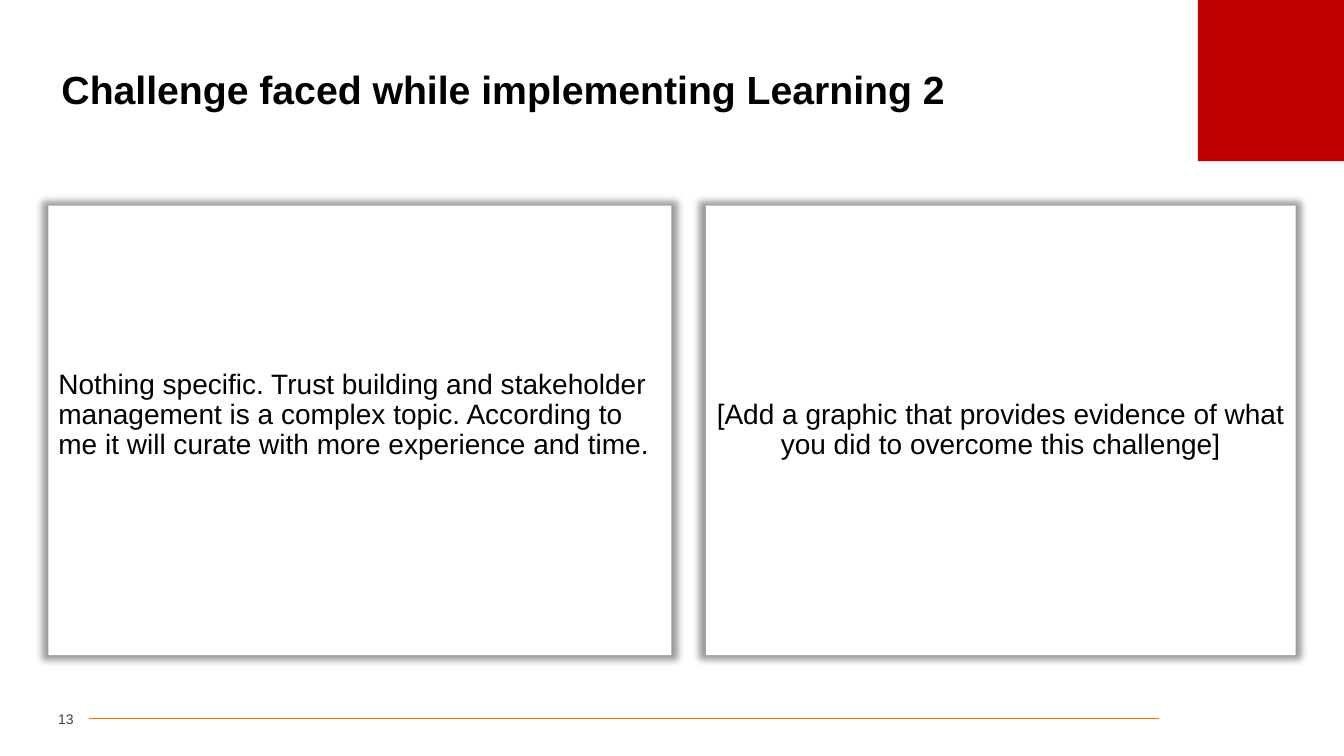
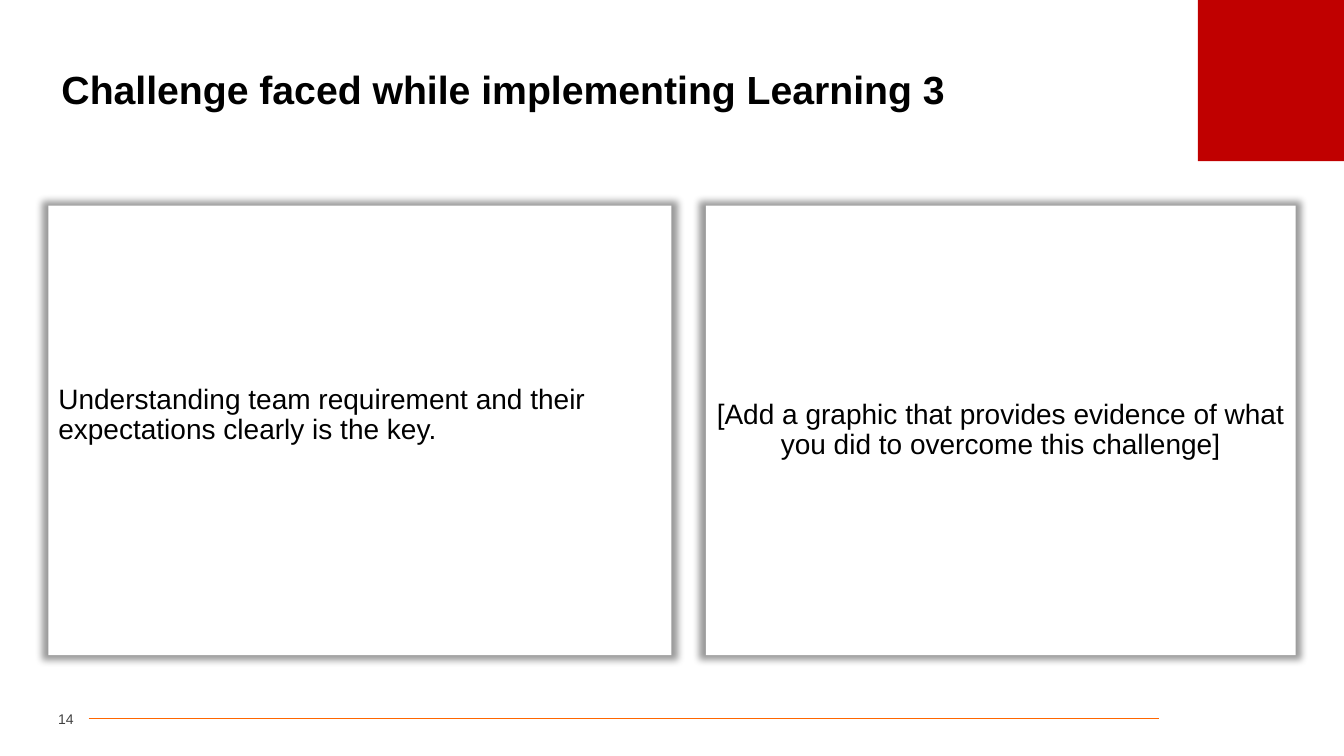
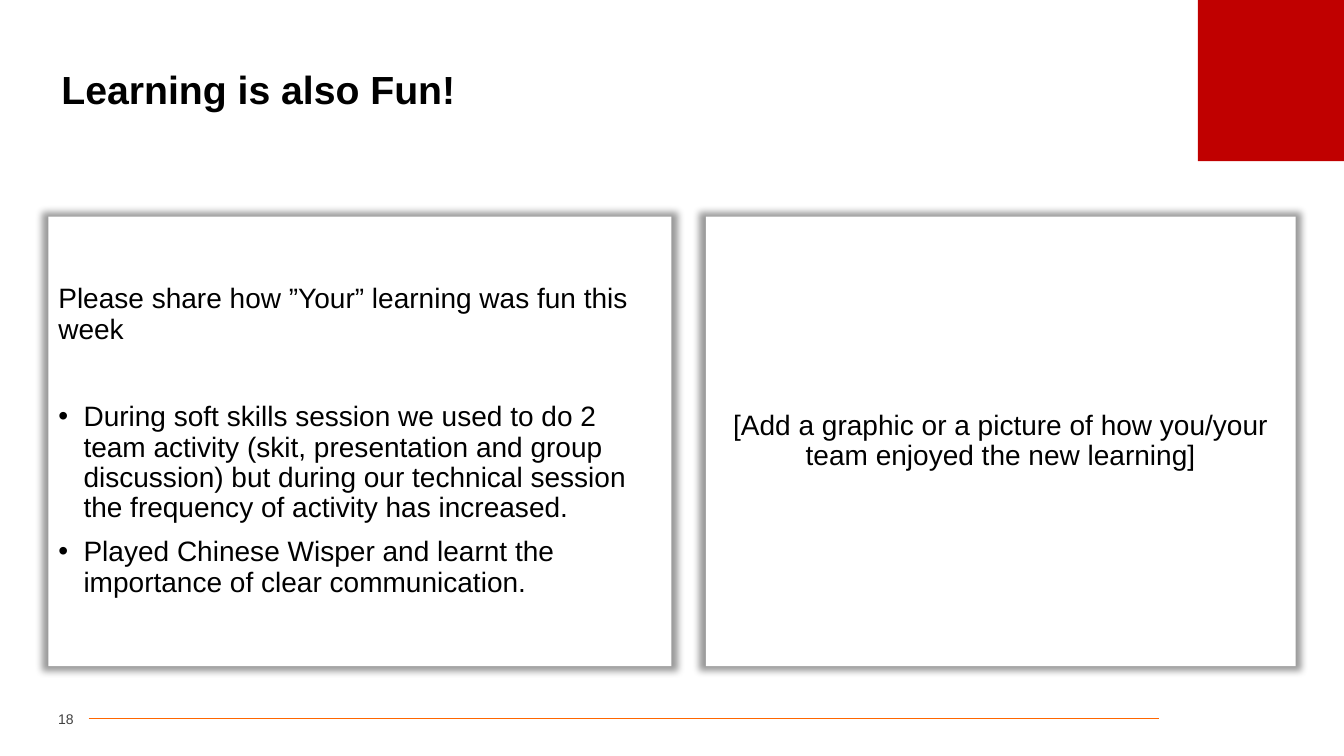
from lxml.etree import SubElement
from pptx import Presentation
from pptx.dml.color import RGBColor
from pptx.enum.shapes import MSO_CONNECTOR, MSO_SHAPE
from pptx.enum.text import MSO_ANCHOR, MSO_AUTO_SIZE, PP_ALIGN
from pptx.oxml.ns import qn
from pptx.util import Inches, Pt

TITLE_ONLY = 5


def color(hex_code):
    return RGBColor.from_string(hex_code)


class Deck:
    FONT = "Arial"
    BLACK, WHITE, GREY = "000000", "FFFFFF", "404040"
    RED, ORANGE = "C00000", "FF6600"
    CARD_HEIGHT = 4.46

    def __init__(self):
        self.presentation = Presentation()
        self.presentation.slide_width = Inches(13.33)
        self.presentation.slide_height = Inches(7.5)
        self.slide = None

    def add_slide(self, title, number):
        layout = self.presentation.slide_layouts[TITLE_ONLY]
        self.slide = self.presentation.slides.add_slide(layout)
        self.rectangle(11.88, 0, 1.45, 1.6, self.RED)
        self.footer(number)
        self.title(title)

    def style(self, paragraph, size, hex_code=BLACK, bold=False,
              align=PP_ALIGN.LEFT):
        paragraph.alignment = align
        font = paragraph.font
        font.name, font.size, font.bold = self.FONT, Pt(size), bold
        font.color.rgb = color(hex_code)

    def title(self, text):
        heading = self.slide.shapes.title
        heading.left, heading.top = Inches(0.51), Inches(0.52)
        heading.width, heading.height = Inches(12.31), Inches(0.78)
        frame = heading.text_frame
        frame.text = text
        frame.auto_size = MSO_AUTO_SIZE.NONE
        frame.vertical_anchor = MSO_ANCHOR.MIDDLE
        frame.paragraphs[0].line_spacing = 0.9
        self.style(frame.paragraphs[0], 28, bold=True)

    def footer(self, number):
        rule = self.slide.shapes.add_connector(
            MSO_CONNECTOR.STRAIGHT,
            Inches(0.88), Inches(7.13), Inches(11.5), Inches(7.13))
        rule.line.color.rgb = color(self.ORANGE)
        rule.line.width = Pt(0.5)
        SubElement(rule._element.spPr, qn("a:effectLst"))

        page = self.slide.shapes.add_textbox(
            Inches(0.33), Inches(6.99), Inches(0.4), Inches(0.29))
        frame = page.text_frame
        frame.word_wrap = True
        frame.margin_left = frame.margin_right = 0
        frame.vertical_anchor = MSO_ANCHOR.MIDDLE
        frame.text = str(number)
        self.style(frame.paragraphs[0], 10, self.GREY, align=PP_ALIGN.RIGHT)

    def rectangle(self, left, top, width, height, fill):
        shape = self.slide.shapes.add_shape(
            MSO_SHAPE.RECTANGLE,
            Inches(left), Inches(top), Inches(width), Inches(height))
        shape.shadow.inherit = False
        shape.fill.solid()
        shape.fill.fore_color.rgb = color(fill)
        shape.line.fill.background()
        return shape

    def glow(self, shape):
        """Give the shape a soft shadow that shows evenly on all sides."""
        effects = shape._element.spPr.find(qn("a:effectLst"))
        shadow = SubElement(
            effects, qn("a:outerShdw"), blurRad=str(Pt(5)), sx="102000",
            sy="102000", algn="ctr", rotWithShape="0")
        black = SubElement(shadow, qn("a:srgbClr"), val=self.BLACK)
        SubElement(black, qn("a:alpha"), val="40000")

    def card(self, left, top, width, text, align=PP_ALIGN.LEFT, bullets=(),
             bottom_margin=0.05):
        card = self.rectangle(left, top, width, self.CARD_HEIGHT, self.WHITE)
        self.glow(card)
        frame = card.text_frame
        frame.word_wrap = True
        frame.vertical_anchor = MSO_ANCHOR.MIDDLE
        frame.margin_bottom = Inches(bottom_margin)
        frame.text = "\n".join([text, *bullets])
        for paragraph in frame.paragraphs:
            self.style(paragraph, 20, align=align)
            paragraph.line_spacing = 0.9
            paragraph.space_before = Pt(10)
        if bullets:
            frame.paragraphs[0].space_after = Pt(31)
        for paragraph in frame.paragraphs[1:]:
            self.bullet(paragraph)

    def bullet(self, paragraph):
        properties = paragraph._p.get_or_add_pPr()
        properties.set("marL", str(Inches(0.25)))
        properties.set("indent", str(Inches(-0.25)))
        SubElement(properties, qn("a:buFont"), typeface=self.FONT)
        # The bullet must stand before the default run properties.
        mark = SubElement(properties, qn("a:buChar"), char="•")
        defaults = properties.find(qn("a:defRPr"))
        if defaults is not None:
            defaults.addprevious(mark.getprevious())
            defaults.addprevious(mark)

    def card_pair(self, top, answer, evidence, **answer_options):
        self.card(0.48, top, 6.18, answer, **answer_options)
        self.card(7, top, 5.85, evidence, align=PP_ALIGN.CENTER)


def main():
    deck = Deck()
    challenges = [
        (2, 13, "Nothing specific. Trust building and stakeholder management "
                "is a complex topic. According to me it will curate with more "
                "experience and time."),
        (3, 14, "Understanding team requirement and their expectations "
                "clearly is the key."),
    ]
    for learning, page, answer in challenges:
        deck.add_slide(
            f"Challenge faced while implementing Learning {learning}", page)
        deck.card_pair(
            2.04, answer,
            "[Add a graphic that provides evidence of what you did to "
            "overcome this challenge]",
            bottom_margin=0.35)

    deck.add_slide("Learning is also Fun!", 18)
    deck.card_pair(
        2.15, "Please share how ”Your” learning was fun this week",
        "[Add a graphic or a picture of how you/your team enjoyed the new "
        "learning]",
        bullets=[
            "During soft skills session we used to do 2 team activity (skit, "
            "presentation and group discussion) but during our technical "
            "session the frequency of activity has increased.",
            "Played Chinese Wisper and learnt the importance of clear "
            "communication.",
        ])
    deck.presentation.save("out.pptx")


if __name__ == "__main__":
    main()
